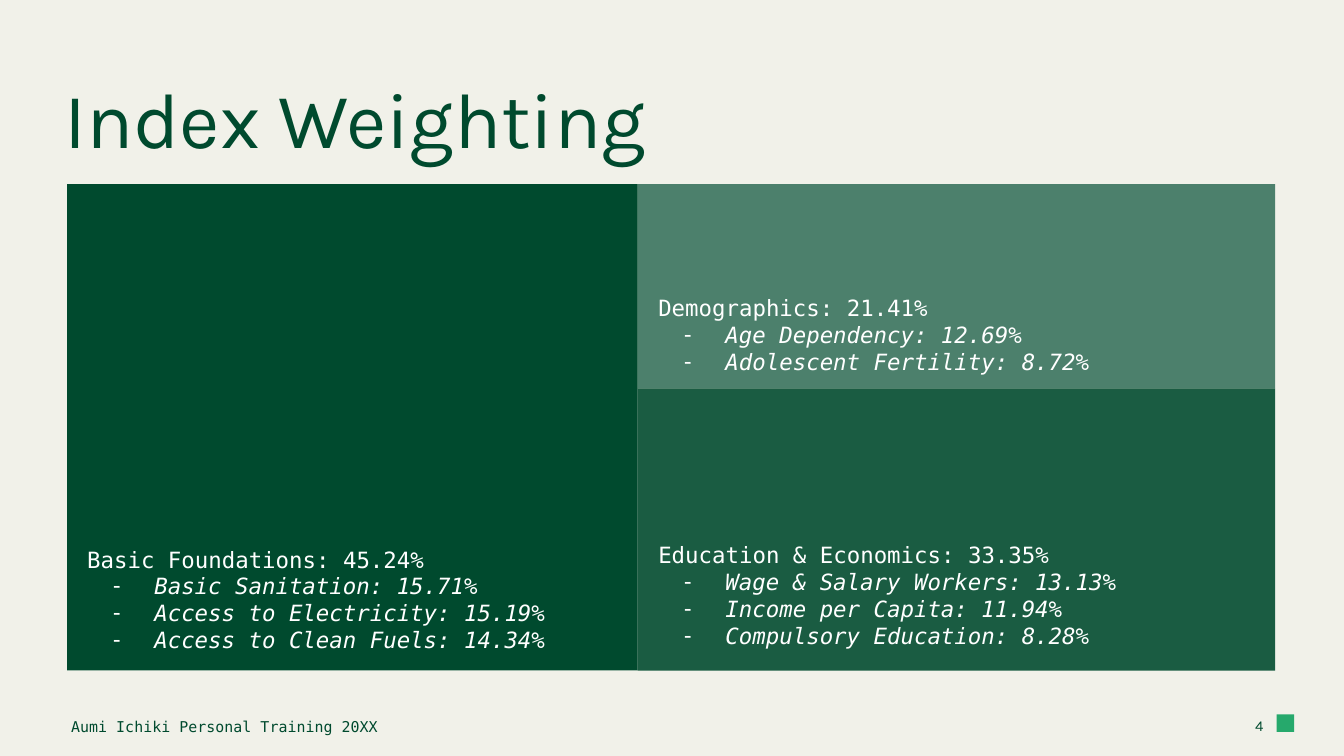
from dataclasses import dataclass

from pptx import Presentation, util as u
from pptx.dml import color
from pptx.enum import shapes, text
from pptx.oxml import ns
from lxml import etree


@dataclass(frozen=True)
class Theme:
    paper: str = "F1F1E9"
    deep: str = "004A2E"
    mid: str = "1A5C42"
    soft: str = "4C806C"
    mark: str = "26A96C"
    white: str = "FFFFFF"
    sans: str = "Karla"
    mono: str = "DejaVu Sans Mono"
    large: float = 42
    body: float = 12
    small: float = 8


@dataclass(frozen=True)
class Box:
    """Left, top, width and height in percent of the slide."""
    x: float
    y: float
    w: float
    h: float


@dataclass(frozen=True)
class Tile:
    area: Box
    label: Box
    fill: str
    head: str
    items: tuple[str, ...]


THEME = Theme()
WIDE = u.Inches(10)
HIGH = WIDE * 9 // 16
LEFT, SPLIT, RIGHT = 5, 47.45, 94.87
TOP, BREAK, END = 24.36, 51.38, 88.71

TILES = (
    Tile(Box(SPLIT, TOP, RIGHT - SPLIT, BREAK - TOP),
         Box(48, 28.8, 43.3, 22.58), THEME.soft,
         "Demographics: 21.41%",
         ("Age Dependency: 12.69%", "Adolescent Fertility: 8.72%")),
    Tile(Box(SPLIT, BREAK, RIGHT - SPLIT, END - BREAK),
         Box(48, 65.07, 43.3, 22.58), THEME.mid,
         "Education & Economics: 33.35%",
         ("Wage & Salary Workers: 13.13%", "Income per Capita: 11.94%",
          "Compulsory Education: 8.28%")),
    Tile(Box(LEFT, TOP, SPLIT - LEFT, END - TOP),
         Box(5.5, 64.71, 42.5, 23.47), THEME.deep,
         "Basic Foundations: 45.24%",
         ("Basic Sanitation: 15.71%", "Access to Electricity: 15.19%",
          "Access to Clean Fuels: 14.34%")),
)


def place(box: Box) -> tuple[int, ...]:
    return tuple(round(part * side / 100) for part, side in
                 zip((box.x, box.y, box.w, box.h), (WIDE, HIGH) * 2))


def rgb(tone: str) -> color.RGBColor:
    return color.RGBColor.from_string(tone)


def block(slide, box: Box, tone: str) -> None:
    shape = slide.shapes.add_shape(shapes.MSO_SHAPE.RECTANGLE, *place(box))
    shape.shadow.inherit = False
    shape.fill.solid()
    shape.fill.fore_color.rgb = rgb(tone)
    shape.line.fill.background()


def write(slide, box: Box, words: str, face: str, size: float, tone: str,
          anchor=text.MSO_ANCHOR.MIDDLE, inset: float = 0.1):
    frame = slide.shapes.add_textbox(*place(box)).text_frame
    frame.word_wrap = True
    frame.vertical_anchor = anchor
    frame.margin_left = u.Inches(inset)
    frame.margin_right = frame.margin_top = frame.margin_bottom = u.Inches(0.1)
    frame.text = words
    for para in frame.paragraphs:
        for run in para.runs:
            run.font.name = face
            run.font.size = u.Pt(size)
            run.font.color.rgb = rgb(tone)
    return frame


def dash(para) -> None:
    props = para._p.get_or_add_pPr()
    props.set("marL", str(u.Inches(0.5)))
    props.set("indent", str(u.Inches(-0.33)))
    paint = etree.SubElement(props, ns.qn("a:buClr"))
    etree.SubElement(paint, ns.qn("a:srgbClr"), val=THEME.white)
    etree.SubElement(props, ns.qn("a:buFont"), typeface=THEME.mono)
    etree.SubElement(props, ns.qn("a:buChar"), char="-")
    for run in para.runs:
        run.font.italic = True


def draw(slide, tile: Tile) -> None:
    block(slide, tile.area, tile.fill)
    frame = write(slide, tile.label, "\n".join((tile.head, *tile.items)),
                  THEME.mono, THEME.body, THEME.white, text.MSO_ANCHOR.BOTTOM)
    for para in frame.paragraphs[1:]:
        dash(para)


def main() -> None:
    deck = Presentation()
    deck.slide_width, deck.slide_height = WIDE, HIGH
    slide = deck.slides.add_slide(deck.slide_layouts[6])
    slide.background.fill.solid()
    slide.background.fill.fore_color.rgb = rgb(THEME.paper)

    block(slide, Box(95, 94.5, 1.3, 2.31), THEME.mark)
    for tile in TILES:
        draw(slide, tile)

    write(slide, Box(3.8, 7.47, 92.5, 16.89), "Index Weighting",
          THEME.sans, THEME.large, THEME.deep, text.MSO_ANCHOR.TOP)
    page = write(slide, Box(90, 93.33, 5, 5.33), "4",
                 THEME.sans, THEME.small, THEME.deep)
    page.paragraphs[0].alignment = text.PP_ALIGN.RIGHT
    foot = write(slide, Box(3.8, 93.33, 46.4, 5.33),
                 "Aumi Ichiki Personal Training 20XX",
                 THEME.mono, THEME.small, THEME.deep, inset=0.15)
    foot.paragraphs[0].line_spacing = 1.1
    foot.paragraphs[0].space_after = u.Pt(4)

    deck.save("out.pptx")


if __name__ == "__main__":
    main()
